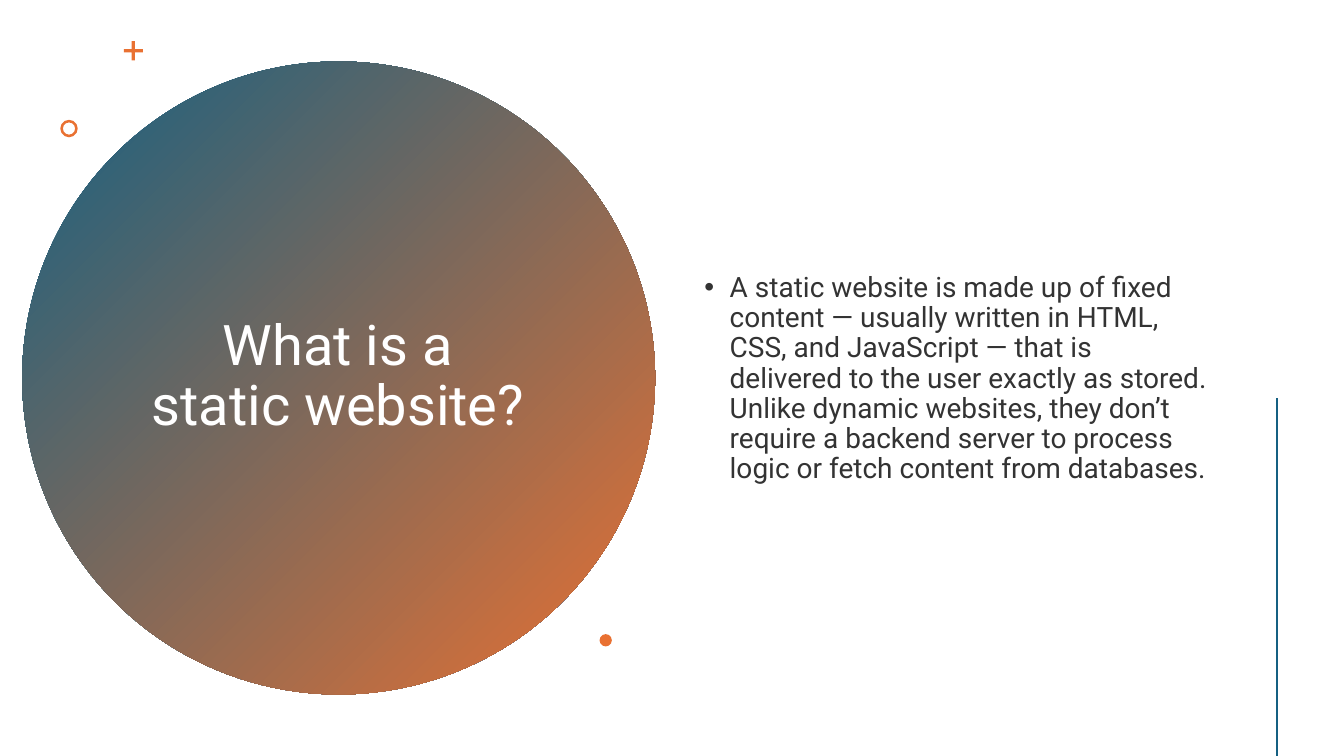
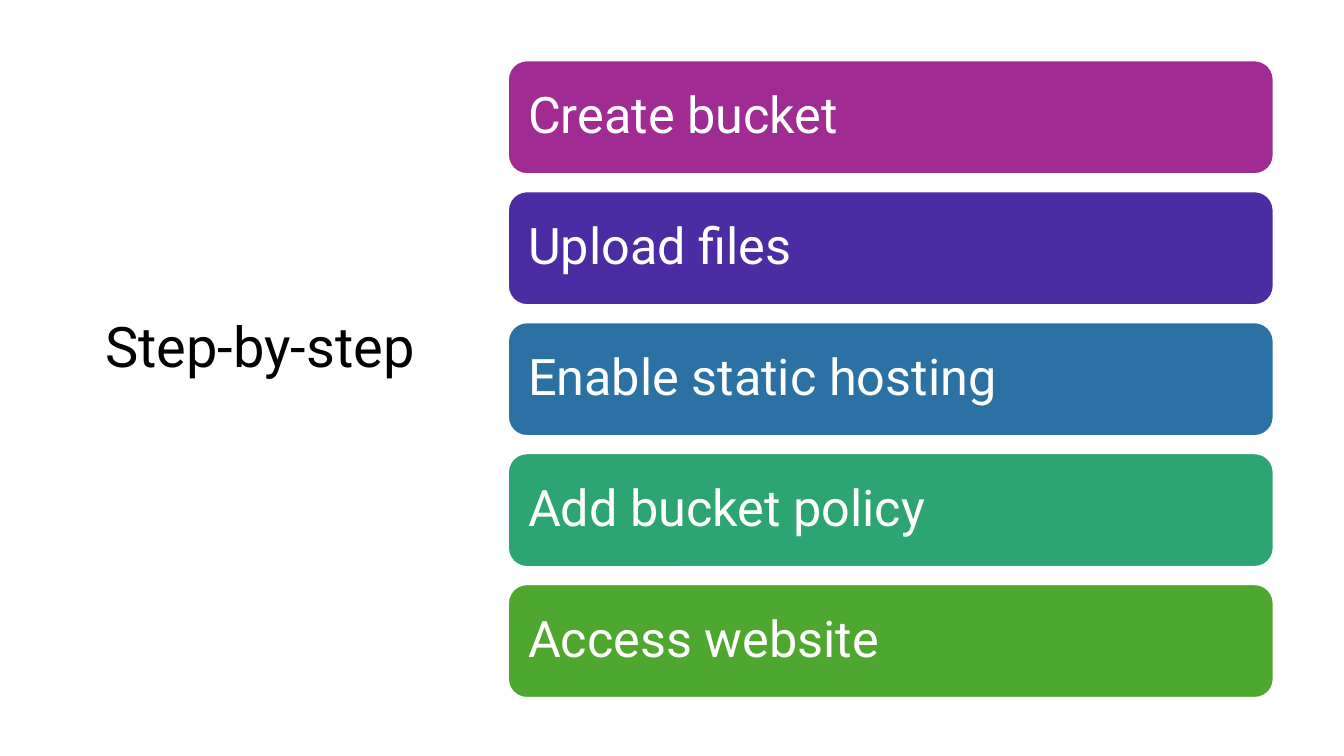
from dataclasses import dataclass

from lxml import etree
from pptx import Presentation
from pptx.dml.color import RGBColor
from pptx.enum import shapes, text
from pptx.oxml import ns
from pptx.util import Cm, Pt

FONT = "Roboto"
WHITE = RGBColor(0xFF, 0xFF, 0xFF)
BLACK = RGBColor(0x00, 0x00, 0x00)
CHARCOAL = RGBColor(0x33, 0x33, 0x33)
TEAL = RGBColor(0x15, 0x60, 0x82)
ORANGE = RGBColor(0xE9, 0x71, 0x32)
MAGENTA = RGBColor(0xA0, 0x2B, 0x93)
VIOLET = RGBColor(0x4B, 0x2C, 0xA2)
BLUE = RGBColor(0x2C, 0x71, 0xA4)
SEA_GREEN = RGBColor(0x2D, 0xA5, 0x73)
GREEN = RGBColor(0x4E, 0xA7, 0x2E)

SLIDE_WIDTH, SLIDE_HEIGHT = Cm(33.87), Cm(19.05)
BULLET_INDENT = Cm(0.64)
STEP_LEFT, STEP_TOP = 12.8, 1.52
STEP_WIDTH, STEP_HEIGHT, STEP_PITCH = 19.3, 2.87, 3.3


@dataclass(frozen=True)
class Box:
    """A rectangle measured in centimetres."""
    left: float
    top: float
    width: float
    height: float

    def lengths(self) -> tuple[Cm, Cm, Cm, Cm]:
        return Cm(self.left), Cm(self.top), Cm(self.width), Cm(self.height)


@dataclass(frozen=True)
class Ornament:
    preset: shapes.MSO_SHAPE
    left: float
    top: float
    size: float
    adjustment: float | None = None


@dataclass(frozen=True)
class Step:
    label: str
    color: RGBColor


ORNAMENTS = (
    Ornament(shapes.MSO_SHAPE.CROSS, 3.12, 1.04, 0.48, 0.42),
    Ornament(shapes.MSO_SHAPE.DONUT, 1.52, 3.02, 0.44, 0.15),
    Ornament(shapes.MSO_SHAPE.OVAL, 15.11, 15.98, 0.31),
)

STEPS = (
    Step("Create bucket", MAGENTA),
    Step("Upload files", VIOLET),
    Step("Enable static hosting", BLUE),
    Step("Add bucket policy", SEA_GREEN),
    Step("Access website", GREEN),
)

DEFINITION = (
    "A static website is made up of fixed content — usually written in HTML, "
    "CSS, and JavaScript — that is delivered to the user exactly as stored. "
    "Unlike dynamic websites, they don’t require a backend server to process "
    "logic or fetch content from databases."
)


def write(shape, words: str, size: int, color: RGBColor,
          align=text.PP_ALIGN.LEFT):
    """Put one vertically centred paragraph into a shape and return it."""
    frame = shape.text_frame
    frame.word_wrap = True
    frame.vertical_anchor = text.MSO_ANCHOR.MIDDLE
    frame.text = words
    paragraph = frame.paragraphs[0]
    paragraph.alignment = align
    paragraph.line_spacing = 0.9
    for run in paragraph.runs:
        run.font.name = FONT
        run.font.size = Pt(size)
        run.font.color.rgb = color
    return paragraph


def add_title(slide, words: str, box: Box, color: RGBColor) -> None:
    title = slide.shapes.add_textbox(*box.lengths())
    write(title, words, 40, color, text.PP_ALIGN.CENTER)


def add_bullet(paragraph) -> None:
    properties = paragraph._p.get_or_add_pPr()
    properties.set("marL", str(BULLET_INDENT))
    properties.set("indent", str(-BULLET_INDENT))
    etree.SubElement(properties, ns.qn("a:buFont")).set("typeface", "Arial")
    etree.SubElement(properties, ns.qn("a:buChar")).set("char", "•")


def add_plain_shape(slide, preset: shapes.MSO_SHAPE, box: Box):
    """Add a preset shape without shadow or outline."""
    shape = slide.shapes.add_shape(preset, *box.lengths())
    shape.shadow.inherit = False
    shape.line.fill.background()
    return shape


def add_gradient_circle(slide, box: Box) -> None:
    circle = add_plain_shape(slide, shapes.MSO_SHAPE.OVAL, box)
    circle.fill.gradient()
    circle.fill.gradient_angle = 315
    for stop, color in zip(circle.fill.gradient_stops, (TEAL, ORANGE)):
        stop.color.rgb = color


def add_ornament(slide, ornament: Ornament) -> None:
    box = Box(ornament.left, ornament.top, ornament.size, ornament.size)
    shape = add_plain_shape(slide, ornament.preset, box)
    shape.fill.solid()
    shape.fill.fore_color.rgb = ORANGE
    if ornament.adjustment is not None:
        shape.adjustments[0] = ornament.adjustment


def add_edge_line(slide) -> None:
    edge = slide.shapes.add_connector(
        shapes.MSO_CONNECTOR.STRAIGHT, Cm(32.18), Cm(10.03), Cm(32.18), SLIDE_HEIGHT)
    edge.line.color.rgb = TEAL
    edge.line.width = Pt(2)
    etree.SubElement(edge._element.spPr, ns.qn("a:effectLst"))


def add_step(slide, step: Step, index: int) -> None:
    box = Box(STEP_LEFT, STEP_TOP + index * STEP_PITCH, STEP_WIDTH, STEP_HEIGHT)
    bar = add_plain_shape(slide, shapes.MSO_SHAPE.ROUNDED_RECTANGLE, box)
    bar.fill.solid()
    bar.fill.fore_color.rgb = step.color
    bar.line.color.rgb = WHITE
    bar.line.width = Pt(1.5)
    write(bar, step.label, 36, WHITE)
    bar.text_frame.margin_left = Cm(0.37)


def build_definition(slide) -> None:
    add_gradient_circle(slide, Box(0.56, 1.55, 15.95, 15.95))
    add_title(slide, "What is a static website?", Box(3.45, 3.58, 10.13, 11.86), WHITE)
    for ornament in ORNAMENTS:
        add_ornament(slide, ornament)
    definition = slide.shapes.add_textbox(*Box(17.5, 1.45, 13.26, 16.21).lengths())
    add_bullet(write(definition, DEFINITION, 20, CHARCOAL))
    add_edge_line(slide)


def build_steps(slide) -> None:
    add_title(slide, "Step-by-step", Box(1.7, 1.52, 9.7, 14.58), BLACK)
    for index, step in enumerate(STEPS):
        add_step(slide, step, index)


def main() -> None:
    deck = Presentation()
    deck.slide_width, deck.slide_height = SLIDE_WIDTH, SLIDE_HEIGHT
    blank = deck.slide_layouts[6]
    for build in (build_definition, build_steps):
        build(deck.slides.add_slide(blank))
    deck.save("out.pptx")


if __name__ == "__main__":
    main()
